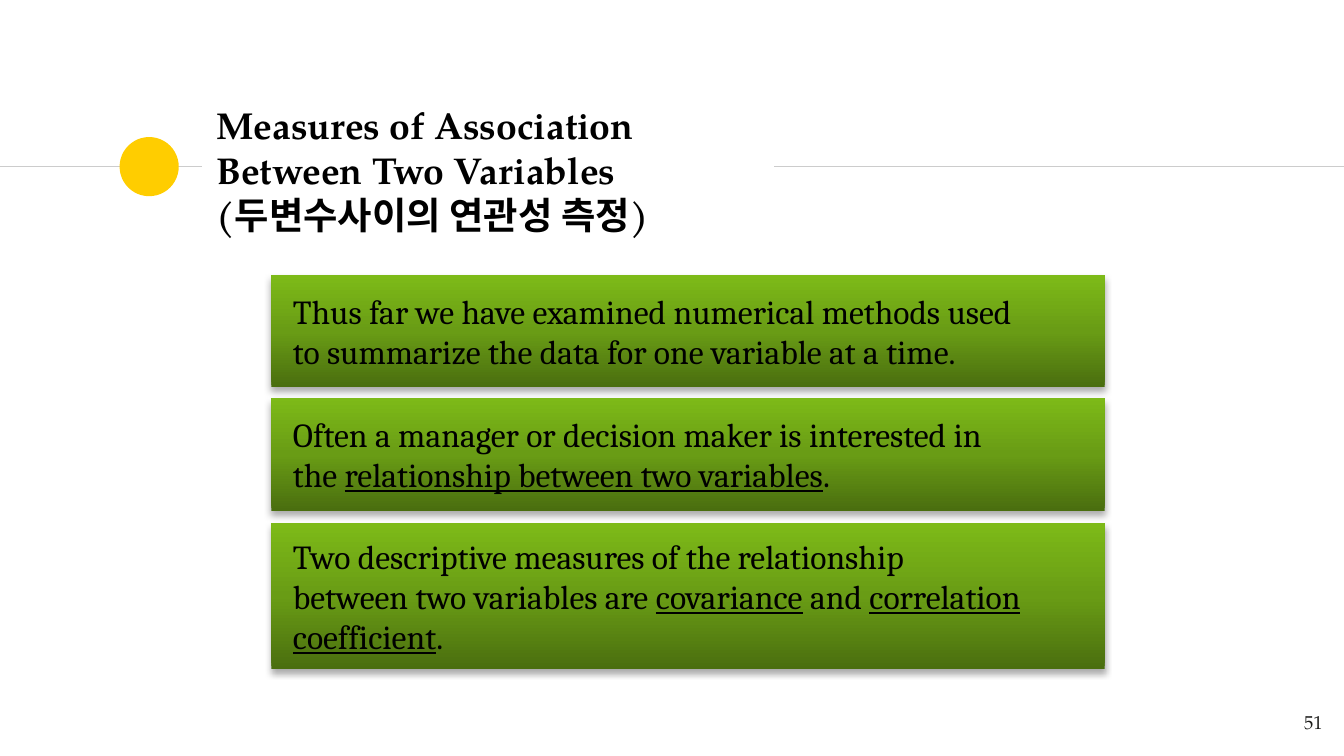
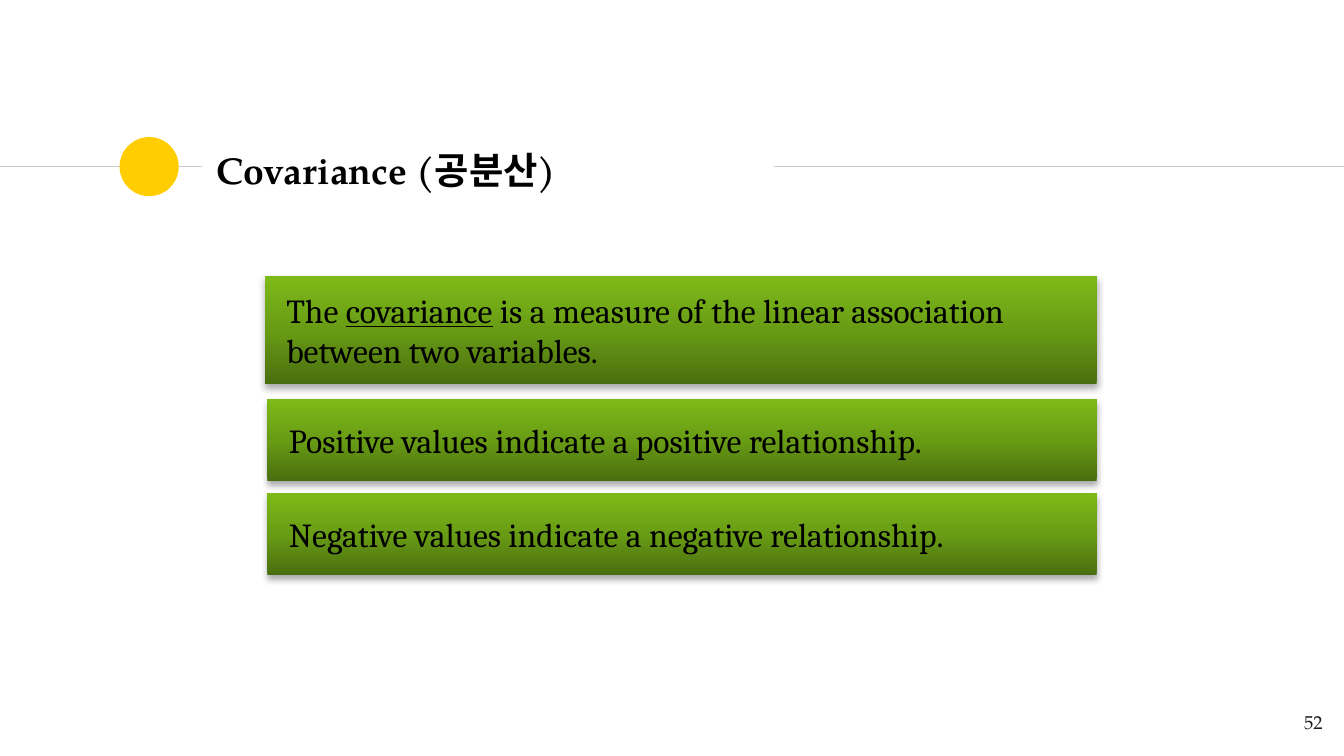
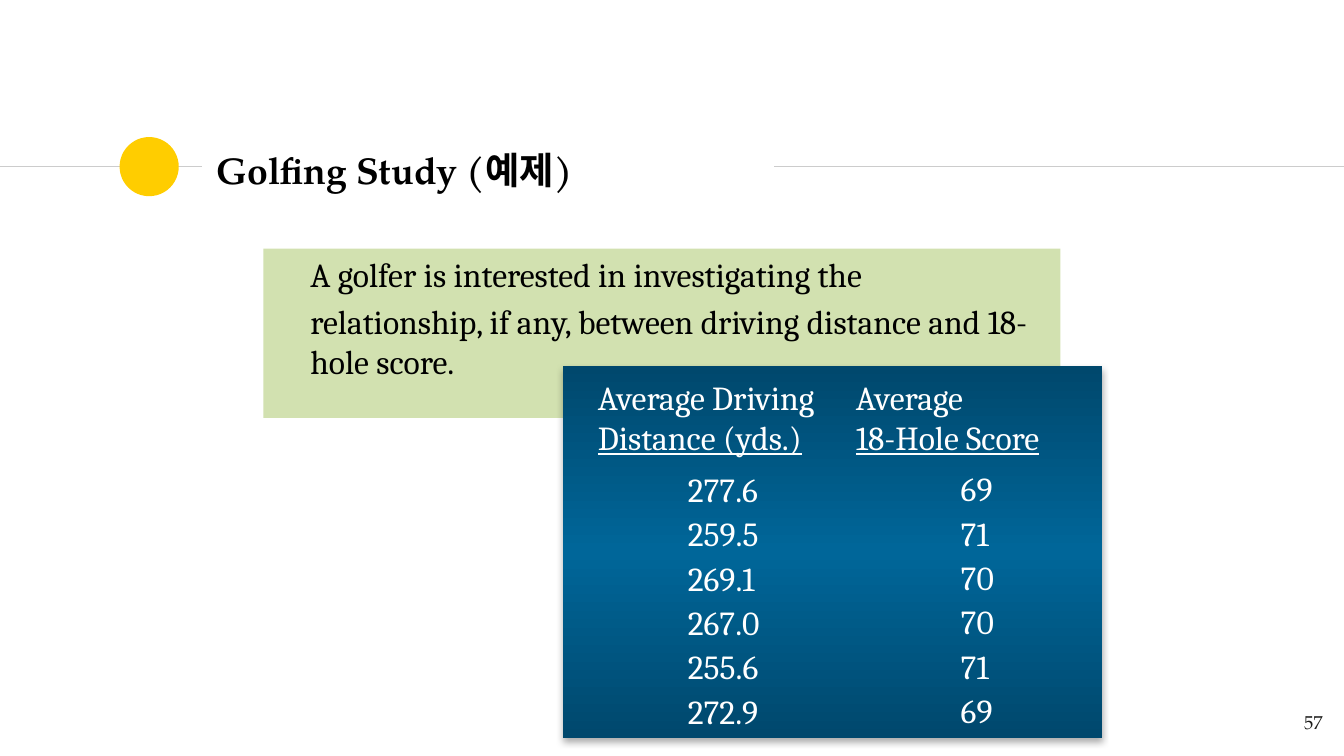
from copy import deepcopy

from lxml.etree import SubElement
from pptx import Presentation
from pptx.dml.color import RGBColor
from pptx.enum.shapes import MSO_CONNECTOR as Connector, MSO_SHAPE as Shape
from pptx.enum.text import MSO_ANCHOR as Anchor, MSO_AUTO_SIZE as AutoSize, PP_ALIGN as Align
from pptx.oxml.ns import qn
from pptx.util import Inches, Pt

COLORS = {
    "rule": "CCCCCC", "dot": "FFCD00", "text": "000000", "number": "1D1D1B",
    "white": "FFFFFF", "intro": "D2E1B0",
}
GREEN = (("4A6E0F", None), ("699C15", None), ("7DBA18", None))
BLUE = (("006699", 46), ("006699", None), ("006699", 46))
TITLE_FONT = "TeX Gyre Pagella"
BODY_FONT = "Cambria"

CARD_SLIDES = [
    {
        "title": "Measures of Association \nBetween Two Variables (두변수사이의 연관성 측정)",
        "number": 51,
        "cards": [
            ((2.02, 2.05, 6.2, 0.83), [
                "Thus far we have examined numerical methods used",
                "to summarize the data for one variable at a time."]),
            ((2.02, 2.96, 6.2, 0.84), [
                "Often a manager or decision maker is interested in",
                "the _relationship between two variables_."]),
            ((2.02, 3.89, 6.2, 1.09), [
                "Two descriptive measures of the relationship",
                "between two variables are _covariance_ and _correlation_",
                "_coefficient_."]),
        ],
    },
    {
        "title": "Covariance (공분산)",
        "number": 52,
        "cards": [
            ((1.99, 2.97, 6.17, 0.61), ["Positive values indicate a positive relationship."]),
            ((1.99, 3.67, 6.17, 0.61), ["Negative values indicate a negative relationship."]),
            ((1.97, 2.05, 6.19, 0.81), [
                "The _covariance_ is a measure of the linear association",
                "between two variables."]),
        ],
    },
]
GOLF = {
    "title": "Golfing Study (예제)",
    "number": 57,
    "intro": [
        "A golfer is interested in investigating the",
        "relationship, if any, between driving distance and 18-hole score."],
    "columns": [
        {"head": ["Average Driving", "_Distance (yds.)_"], "head_at": (4.35, 2.74, 1.89, 0.73),
         "values": ["277.6", "259.5", "269.1", "267.0", "255.6", "272.9"],
         "values_at": (5.02, 3.55, 0.64, 1.8)},
        {"head": ["Average", "_18-Hole Score_"], "head_at": (6.27, 2.74, 1.89, 0.73),
         "values": ["69", "71", "70", "70", "71", "69"],
         "values_at": (7.05, 3.53, 0.41, 1.83)},
    ],
}


def inches(lengths):
    return [Inches(length) for length in lengths]


def add_break(para, size):
    para.add_line_break()
    SubElement(para._p[-1], qn("a:rPr"), sz=str(size * 100))


def write(shape, lines, font=BODY_FONT, size=18, color="text", bold=None, align=Align.LEFT,
          anchor=Anchor.MIDDLE, wrap=True, margins=(0.1, 0.05, 0.1, 0.05),
          line_spacing=None, before=None, indent=None):
    frame = shape.text_frame
    frame.auto_size = AutoSize.NONE
    frame.word_wrap = wrap
    frame.vertical_anchor = anchor
    (frame.margin_left, frame.margin_top,
     frame.margin_right, frame.margin_bottom) = inches(margins)
    for index, line in enumerate(lines):
        para = frame.add_paragraph() if index else frame.paragraphs[0]
        para.alignment = align
        para.line_spacing = line_spacing
        para.space_before = before
        if indent:
            para._p.get_or_add_pPr().set("marL", str(Inches(indent)))
        for position, marked in enumerate(line.split("_")):
            for row, text in enumerate(marked.split("\n")):
                if row:
                    add_break(para, size)
                if not text:
                    continue
                span = para.add_run()
                span.text = text
                span.font.name = font
                span.font.size = Pt(size)
                span.font.bold = bold
                span.font.underline = True if position % 2 else None
                span.font.color.rgb = RGBColor.from_string(COLORS[color])


def add_text(page, at, lines, **formats):
    box = page.shapes.add_textbox(*inches(at))
    write(box, lines, **formats)


def add_block(page, at, color=None, kind=Shape.RECTANGLE):
    block = page.shapes.add_shape(kind, *inches(at))
    block.shadow.inherit = False
    block.line.fill.background()
    if color:
        block.fill.solid()
        block.fill.fore_color.rgb = RGBColor.from_string(COLORS[color])
    return block


def add_panel(page, at, gradient, angle):
    panel = add_block(page, at)
    panel.fill.gradient()
    panel.fill.gradient_angle = angle
    stops = panel._element.spPr.find(".//" + qn("a:gsLst"))
    stops.append(deepcopy(stops[0]))
    for index, (color, shade) in enumerate(gradient):
        stop = panel.fill.gradient_stops[index]
        stop.position = index / 2
        stop.color.rgb = RGBColor.from_string(color)
        if shade:
            SubElement(stops[index][0], qn("a:shade"), val=str(shade * 1000))
    effects = panel._element.spPr.find(qn("a:effectLst"))
    shadow = SubElement(effects, qn("a:outerShdw"), blurRad=str(Pt(3.5)), dist=str(Pt(2.2)),
                        dir="5400000", rotWithShape="0")
    tint = SubElement(shadow, qn("a:srgbClr"), val="000000")
    SubElement(tint, qn("a:alpha"), val="32000")
    return panel


def add_page(deck, title, number):
    page = deck.slides.add_slide(deck.slide_layouts[5])
    for start, end in ((0, 1.5), (5.76, 10)):
        rule = page.shapes.add_connector(Connector.STRAIGHT, *inches((start, 1.24, end, 1.24)))
        rule.line.color.rgb = RGBColor.from_string(COLORS["rule"])
        rule.line.width = Pt(0.75)
        SubElement(rule._element.spPr, qn("a:effectLst"))
    add_block(page, (0.89, 1.02, 0.44, 0.44), "dot", Shape.OVAL)
    heading = page.shapes.title
    heading.left, heading.top, heading.width, heading.height = inches((1.51, 1.02, 4.24, 0.48))
    write(heading, [title], font=TITLE_FONT, size=20, bold=True, margins=(0.1,) * 4)
    add_text(page, (9.34, 5.19, 0.6, 0.43), [str(number)], font=TITLE_FONT, size=10,
             color="number", align=Align.RIGHT, anchor=Anchor.TOP, margins=(0.1,) * 4)
    return page


def add_card_page(deck, content):
    page = add_page(deck, content["title"], content["number"])
    for at, lines in content["cards"]:
        card = add_panel(page, at, GREEN, 90)
        write(card, lines, wrap=False, margins=(0.16, 0.05, 0.1, 0.05))


def add_golf_page(deck):
    page = add_page(deck, GOLF["title"], GOLF["number"])
    intro = add_block(page, (1.96, 1.85, 5.93, 1.26), "intro")
    write(intro, GOLF["intro"], anchor=Anchor.TOP, margins=(0.07, 0.04, 0.07, 0.04),
          before=Pt(3.6), indent=0.28)
    add_panel(page, (4.19, 2.72, 4.01, 2.77), BLUE, 270)
    for column in GOLF["columns"]:
        add_text(page, column["values_at"], column["values"], color="white", wrap=False,
                 line_spacing=1.1)
        add_text(page, column["head_at"], column["head"], color="white", wrap=False)


def main():
    deck = Presentation()
    deck.slide_width = Inches(10)
    deck.slide_height = deck.slide_width * 9 // 16
    for content in CARD_SLIDES:
        add_card_page(deck, content)
    add_golf_page(deck)
    deck.save("out.pptx")


if __name__ == "__main__":
    main()
